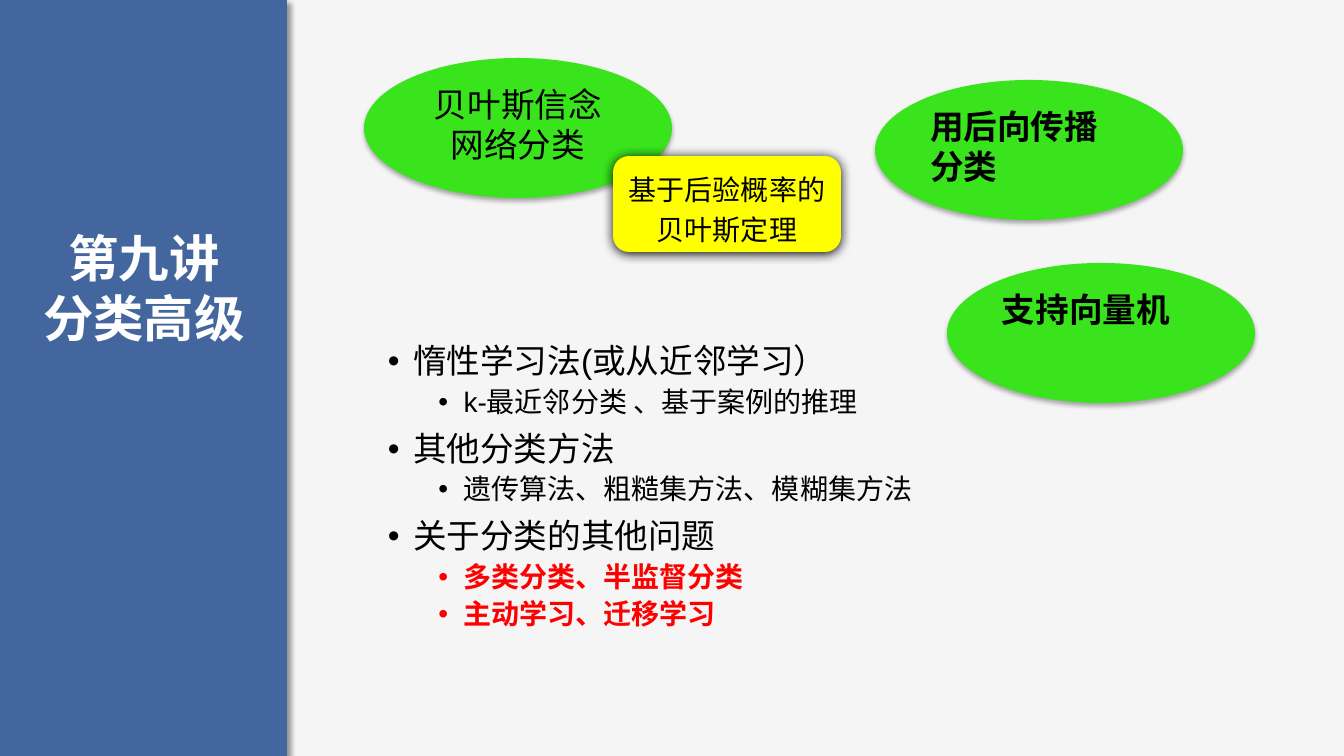
import pptx
import pptx.util
import pptx.dml.color
import pptx.enum.shapes
import pptx.enum.text
import lxml.etree
from pptx.oxml.ns import qn

RGB = pptx.dml.color.RGBColor
KIND = pptx.enum.shapes.MSO_SHAPE
ALIGN = pptx.enum.text.PP_ALIGN
BACK = RGB(0xF5, 0xF5, 0xF5)
BLUE = RGB(0x44, 0x66, 0x9E)
GREEN = RGB(0x39, 0xE4, 0x1C)
YELLOW = RGB(0xFF, 0xFF, 0x00)
RED = RGB(0xFF, 0x00, 0x00)
WHITE = RGB(0xFF, 0xFF, 0xFF)
BLACK = RGB(0x00, 0x00, 0x00)

# Content
TITLE = ["第九讲", "分类高级"]
TOPICS = [
    ("惰性学习法(或从近邻学习）", ["k-最近邻分类 、基于案例的推理"], {}),
    ("其他分类方法", ["遗传算法、粗糙集方法、模糊集方法"], {}),
    ("关于分类的其他问题", ["多类分类、半监督分类", "主动学习、迁移学习"],
     {"color": RED, "bold": True}),
]
NOTE = "基于后验概率的贝叶斯定理"
# Ovals: text, left, top, format
OVALS = [
    ("贝叶斯信念网络分类", 364, 58, {"align": ALIGN.CENTER}),
    ("用后向传播分类", 875, 80, {"bold": True}),
    ("支持向量机", 947, 263, {"bold": True}),
]
OVAL_W, OVAL_H = 308, 140
WIDE, HIGH = 1344, 756

# Shadows: opacity %, blur pt, distance pt, angle
SIDE_SHADE = (40, 4, 3, 45)
OVAL_SHADE = (32, 3.5, 2.2, 90)
NOTE_SHADE = (100, 8.5, 1, 90)


def px(n):
    return pptx.util.Emu(round(n * 12192000 / WIDE))


def shade(shape, alpha, blur, dist, angle):
    shape.shadow.inherit = False
    effects = shape._element.spPr.find(qn("a:effectLst"))
    outer = lxml.etree.SubElement(
        effects, qn("a:outerShdw"), blurRad=str(pptx.util.Pt(blur)),
        dist=str(pptx.util.Pt(dist)), dir=str(angle * 60000), rotWithShape="0")
    tint = lxml.etree.SubElement(outer, qn("a:srgbClr"), val=str(BLACK))
    lxml.etree.SubElement(tint, qn("a:alpha"), val=str(alpha * 1000))


def block(slide, kind, box, fill, shadow):
    shape = slide.shapes.add_shape(kind, *map(px, box))
    shape.fill.solid()
    shape.fill.fore_color.rgb = fill
    shape.line.fill.background()
    shade(shape, *shadow)
    frame = shape.text_frame
    frame.word_wrap = True
    frame.vertical_anchor = pptx.enum.text.MSO_ANCHOR.TOP
    return frame


def label(slide, box):
    frame = slide.shapes.add_textbox(*map(px, box)).text_frame
    frame.word_wrap = True
    return frame


def write(frame, text, size=24, font="Calibri", color=BLACK, bold=False,
          align=ALIGN.LEFT, space=None, before=None, level=None):
    para = frame.paragraphs[0]
    if para.runs:
        para = frame.add_paragraph()
    para.alignment = align
    if space:
        para.line_spacing = space
    if before:
        para.space_before = pptx.util.Pt(before)
    run = para.add_run()
    run.text = text
    run.font.size = pptx.util.Pt(size)
    run.font.name = font
    run.font.bold = bold
    run.font.color.rgb = color
    if level is not None:
        para.level = level
        props = para._p.get_or_add_pPr()
        props.set("marL", str(pptx.util.Inches(0.25 + 0.5 * level)))
        props.set("indent", str(pptx.util.Inches(-0.25)))
        lxml.etree.SubElement(props, qn("a:buFont"), typeface="Arial")
        lxml.etree.SubElement(props, qn("a:buChar"), char="•")


def main():
    deck = pptx.Presentation()
    deck.slide_width, deck.slide_height = px(WIDE), px(HIGH)
    slide = deck.slides.add_slide(deck.slide_layouts[6])
    slide.background.fill.solid()
    slide.background.fill.fore_color.rgb = BACK

    # Side panel and title
    block(slide, KIND.RECTANGLE, (0, 0, 287, HIGH), BLUE, SIDE_SHADE)
    title = label(slide, (28, 222, 232, 132))
    for line in TITLE:
        write(title, line, size=36, font="Arial", color=WHITE, bold=True,
              align=ALIGN.CENTER)

    # Topic list
    body = label(slide, (378, 340, 602, 294))
    for topic, points, style in TOPICS:
        write(body, topic, font="Arial", space=0.9, before=10, level=0)
        for point in points:
            write(body, point, size=20, font="Arial", space=0.9, before=5,
                  level=1, **style)

    # Ovals, with the note lying over the first
    for i, (text, left, top, style) in enumerate(OVALS):
        oval = block(slide, KIND.OVAL, (left, top, OVAL_W, OVAL_H), GREEN,
                     OVAL_SHADE)
        write(oval, text, **style)
        if i == 0:
            note = block(slide, KIND.ROUNDED_RECTANGLE, (613, 156, 228, 96),
                         YELLOW, NOTE_SHADE)
            write(note, NOTE, size=20, align=ALIGN.CENTER, space=1.2)

    deck.save("out.pptx")


if __name__ == "__main__":
    main()
